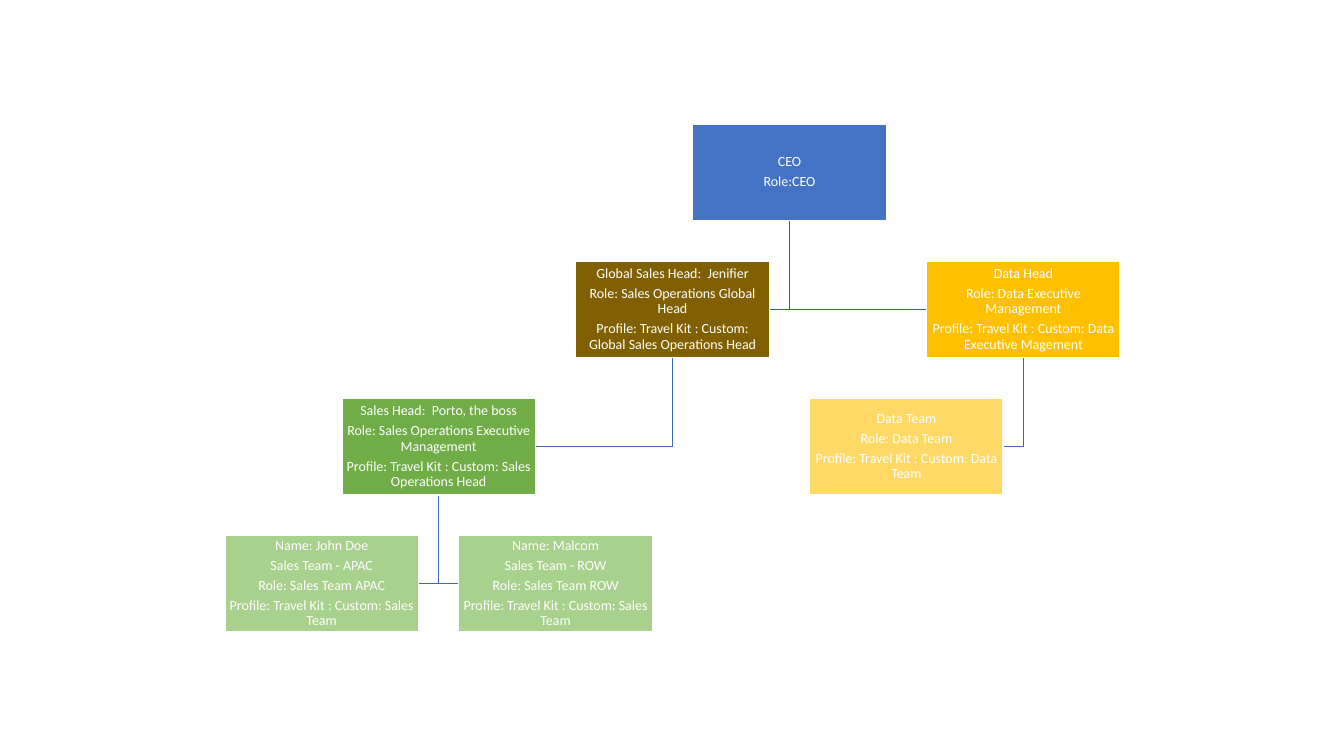
"""Build an organisation chart slide with roles and profiles."""
from pptx import Presentation
from pptx.dml.color import RGBColor
from pptx.enum.shapes import MSO_SHAPE
from pptx.enum.text import MSO_ANCHOR, PP_ALIGN
from pptx.util import Inches, Pt

RECTANGLE = MSO_SHAPE.RECTANGLE
MIDDLE = MSO_ANCHOR.MIDDLE
CENTER = PP_ALIGN.CENTER

WHITE = RGBColor(0xFF, 0xFF, 0xFF)
BLUE = RGBColor(0x44, 0x72, 0xC4)
BROWN = RGBColor(0x80, 0x60, 0x00)
GREEN = RGBColor(0x70, 0xAD, 0x47)
LIGHT_GREEN = RGBColor(0xA9, 0xD1, 0x8E)
GOLD = RGBColor(0xFF, 0xC0, 0x00)
LIGHT_GOLD = RGBColor(0xFF, 0xD9, 0x66)
TOP_LINK = RGBColor(0x36, 0x5B, 0x9D)
LOWER_LINK = RGBColor(0x3E, 0x67, 0xB2)

LEFT, TOP = 2.23, 1.23
COLUMN_STEP, ROW_STEP = 1.16, 1.36
BOX_WIDTH, BOX_HEIGHT = 1.92, 0.96
PROFILE = "Profile: Travel Kit : Custom: "

POSITIONS = {
    "ceo": (4, 0, BLUE, ["CEO", "Role:CEO"]),
    "global sales": (3, 1, BROWN, [
        "Global Sales Head:  Jenifier",
        "Role: Sales Operations Global Head",
        PROFILE + "Global Sales Operations Head"]),
    "sales": (1, 2, GREEN, [
        "Sales Head:  Porto, the boss",
        "Role: Sales Operations Executive Management",
        PROFILE + "Sales Operations Head"]),
    "apac": (0, 3, LIGHT_GREEN, [
        "Name: John Doe", "Sales Team - APAC", "Role: Sales Team APAC",
        PROFILE + "Sales Team"]),
    "row": (2, 3, LIGHT_GREEN, [
        "Name: Malcom", "Sales Team - ROW", "Role: Sales Team ROW",
        PROFILE + "Sales Team"]),
    "data head": (6, 1, GOLD, [
        "Data Head", "Role: Data Executive Management",
        PROFILE + "Data Executive Magement"]),
    "data team": (5, 2, LIGHT_GOLD, [
        "Data Team", "Role: Data Team", PROFILE + "Data Team"]),
}
REPORTS = [
    ("data head", "data team", LOWER_LINK),
    ("ceo", "data head", TOP_LINK),
    ("sales", "row", LOWER_LINK),
    ("sales", "apac", LOWER_LINK),
    ("global sales", "sales", LOWER_LINK),
    ("ceo", "global sales", TOP_LINK),
]


def corner(name):
    column, row = POSITIONS[name][:2]
    return LEFT + column * COLUMN_STEP, TOP + row * ROW_STEP


presentation = Presentation()
presentation.slide_width = Inches(13.33)
presentation.slide_height = Inches(7.5)
slide = presentation.slides.add_slide(presentation.slide_layouts[6])

for manager, report, color in REPORTS:
    manager_left, manager_top = corner(manager)
    report_left, report_top = corner(report)
    trunk = Inches(manager_left + BOX_WIDTH / 2)
    branch = Inches(report_top + BOX_HEIGHT / 2)
    report_side = report_left if report_left > manager_left else report_left + BOX_WIDTH
    builder = slide.shapes.build_freeform(trunk, Inches(manager_top + BOX_HEIGHT))
    builder.add_line_segments([(trunk, branch), (Inches(report_side), branch)], close=False)
    link = builder.convert_to_shape()
    link.shadow.inherit = False
    link.fill.background()
    link.line.color.rgb = color
    link.line.width = Pt(1)

for name, (column, row, color, lines) in POSITIONS.items():
    left, top = corner(name)
    box = slide.shapes.add_shape(
        RECTANGLE, Inches(left), Inches(top), Inches(BOX_WIDTH), Inches(BOX_HEIGHT))
    box.shadow.inherit = False
    box.fill.solid()
    box.fill.fore_color.rgb = color
    box.line.color.rgb = WHITE
    box.line.width = Pt(1)
    frame = box.text_frame
    frame.word_wrap = True
    frame.vertical_anchor = MIDDLE
    frame.margin_left = frame.margin_right = Inches(0.01)
    frame.margin_top = frame.margin_bottom = Inches(0.01)
    frame.text = "\n".join(lines)
    for paragraph in frame.paragraphs:
        paragraph.alignment = CENTER
        paragraph.line_spacing = 0.9
        paragraph.space_after = Pt(3.5)
        paragraph.font.name = "Calibri"
        paragraph.font.size = Pt(10)
        paragraph.font.color.rgb = WHITE

presentation.save("out.pptx")
